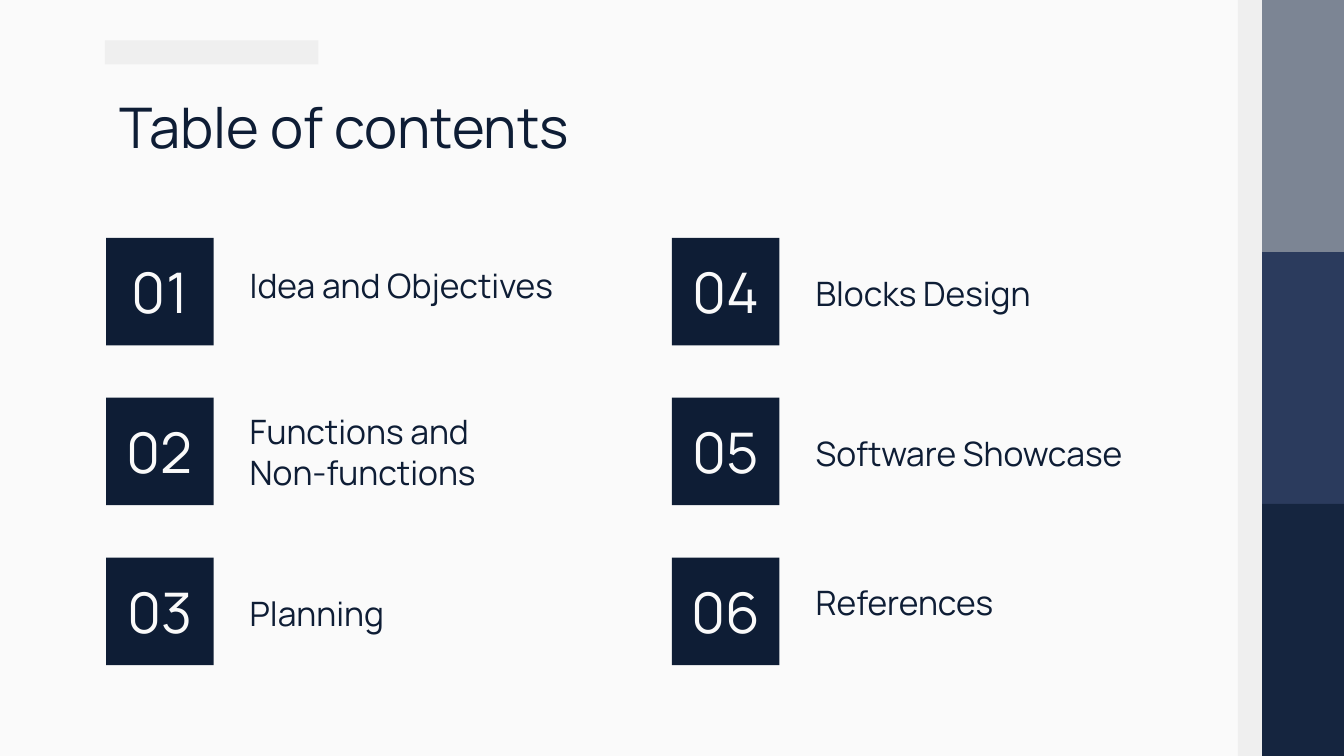
from dataclasses import dataclass

from pptx import Presentation
from pptx.dml.color import RGBColor
from pptx.enum import shapes, text
from pptx.util import Inches, Pt


@dataclass(frozen=True)
class Theme:
    font: str = "Manrope"
    paper: str = "FAFAFA"
    navy: str = "0E1D35"
    pale: str = "EFEFEF"
    bands: tuple[str, ...] = ("7C8594", "2B3B5D", "15253F")
    heading_size: int = 30
    label_size: int = 18


@dataclass(frozen=True)
class Box:
    left: float
    top: float
    width: float
    height: float

    def lengths(self) -> tuple[int, ...]:
        return tuple(Inches(v) for v in (self.left, self.top, self.width, self.height))


@dataclass(frozen=True)
class Entry:
    lines: tuple[str, ...]
    label_top: float
    label_height: float = 0.48


THEME = Theme()
WIDTH = 10
HEIGHT = WIDTH * 9 / 16
ROWS = 3
TILE = 0.8
TILE_TOP, ROW_STEP = 1.77, 1.19
TILE_LEFTS = (0.79, 5)
LABEL_LEFTS = (1.76, 5.97)
ENTRIES = (
    Entry(("Idea and Objectives",), 1.87),
    Entry(("Functions and", "Non-functions"), 2.96, 0.8),
    Entry(("Planning",), 4.31),
    Entry(("Blocks Design",), 1.93),
    Entry(("Software Showcase",), 3.12),
    Entry(("References",), 4.23),
)


def add_rect(slide, box: Box, color: str):
    sp = slide.shapes.add_shape(shapes.MSO_SHAPE.RECTANGLE, *box.lengths())
    sp.shadow.inherit = False
    sp.fill.solid()
    sp.fill.fore_color.rgb = RGBColor.from_string(color)
    sp.line.fill.background()
    return sp


def write(sp, lines: tuple[str, ...], size: int, color: str,
          align=text.PP_ALIGN.LEFT, anchor=text.MSO_ANCHOR.TOP) -> None:
    tf = sp.text_frame
    tf.word_wrap = True
    tf.auto_size = text.MSO_AUTO_SIZE.NONE
    tf.vertical_anchor = anchor
    tf.margin_left = tf.margin_right = tf.margin_top = tf.margin_bottom = Inches(0.1)
    for i, line in enumerate(lines):
        p = tf.add_paragraph() if i else tf.paragraphs[0]
        p.alignment = align
        r = p.add_run()
        r.text = line
        r.font.name = THEME.font
        r.font.size = Pt(size)
        r.font.color.rgb = RGBColor.from_string(color)


def add_decoration(slide) -> None:
    band_height = HEIGHT / len(THEME.bands)
    for i, color in enumerate(THEME.bands):
        add_rect(slide, Box(9.39, i * band_height, 0.61, band_height), color)
    add_rect(slide, Box(9.21, 0, 0.18, HEIGHT), THEME.pale)
    add_rect(slide, Box(0.78, 0.3, 1.59, 0.18), THEME.pale)


def add_title(slide, wording: str) -> None:
    sp = slide.shapes.title
    sp.left, sp.top, sp.width, sp.height = Box(0.79, 0.59, 8.43, 0.63).lengths()
    write(sp, (wording,), THEME.heading_size, THEME.navy)


def add_entry(slide, index: int, entry: Entry) -> None:
    column, row = divmod(index, ROWS)
    tile = add_rect(slide, Box(TILE_LEFTS[column], TILE_TOP + row * ROW_STEP, TILE, TILE), THEME.navy)
    write(tile, (f"{index + 1:02}",), THEME.heading_size, THEME.paper,
          text.PP_ALIGN.CENTER, text.MSO_ANCHOR.MIDDLE)
    box = Box(LABEL_LEFTS[column], entry.label_top, 2.77, entry.label_height)
    label = slide.shapes.add_textbox(*box.lengths())
    write(label, entry.lines, THEME.label_size, THEME.navy)


def main() -> None:
    prs = Presentation()
    prs.slide_width, prs.slide_height = Inches(WIDTH), Inches(HEIGHT)
    slide = prs.slides.add_slide(prs.slide_layouts[5])
    slide.background.fill.solid()
    slide.background.fill.fore_color.rgb = RGBColor.from_string(THEME.paper)
    add_decoration(slide)
    add_title(slide, "Table of contents")
    for index, entry in enumerate(ENTRIES):
        add_entry(slide, index, entry)
    prs.save("out.pptx")


if __name__ == "__main__":
    main()
